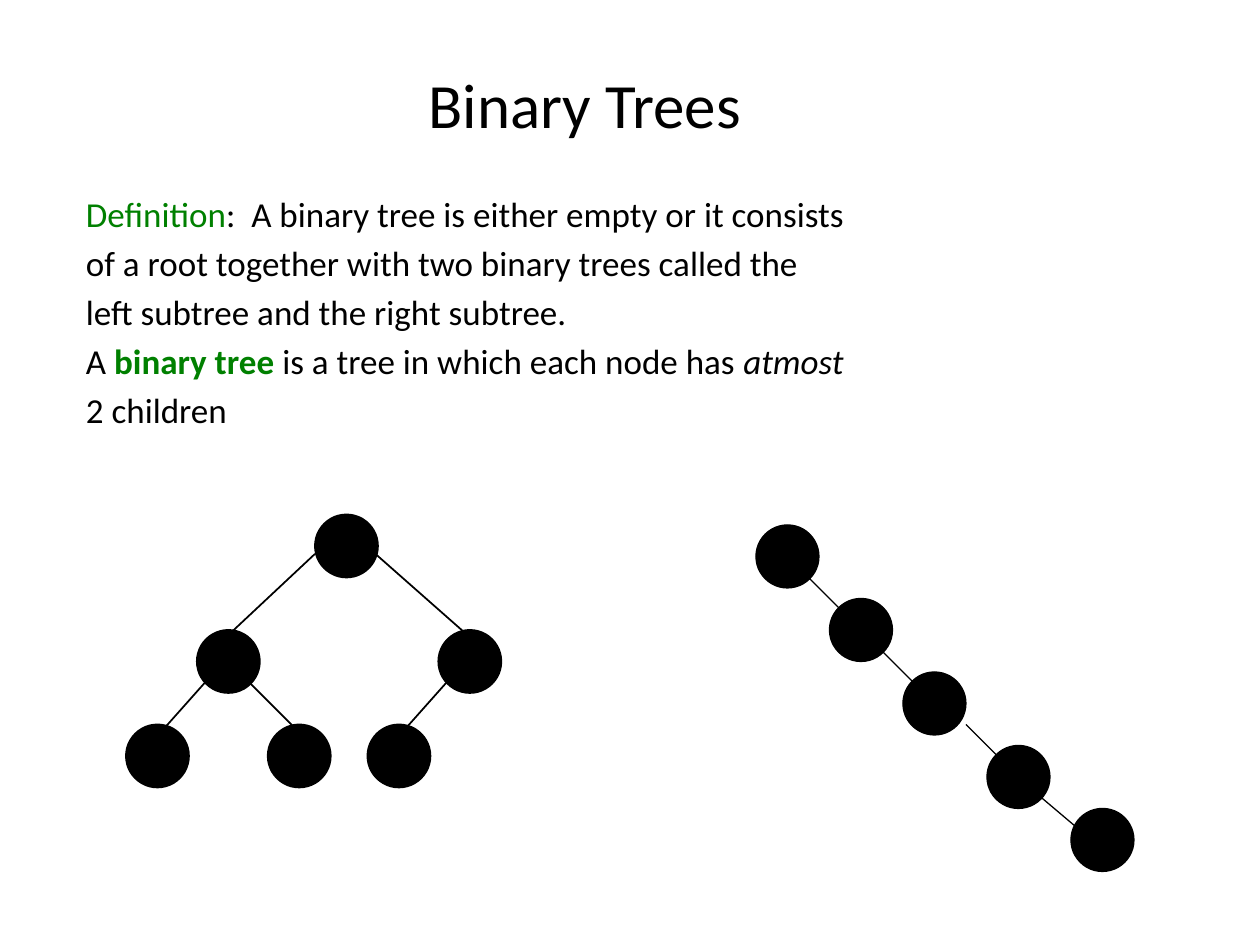
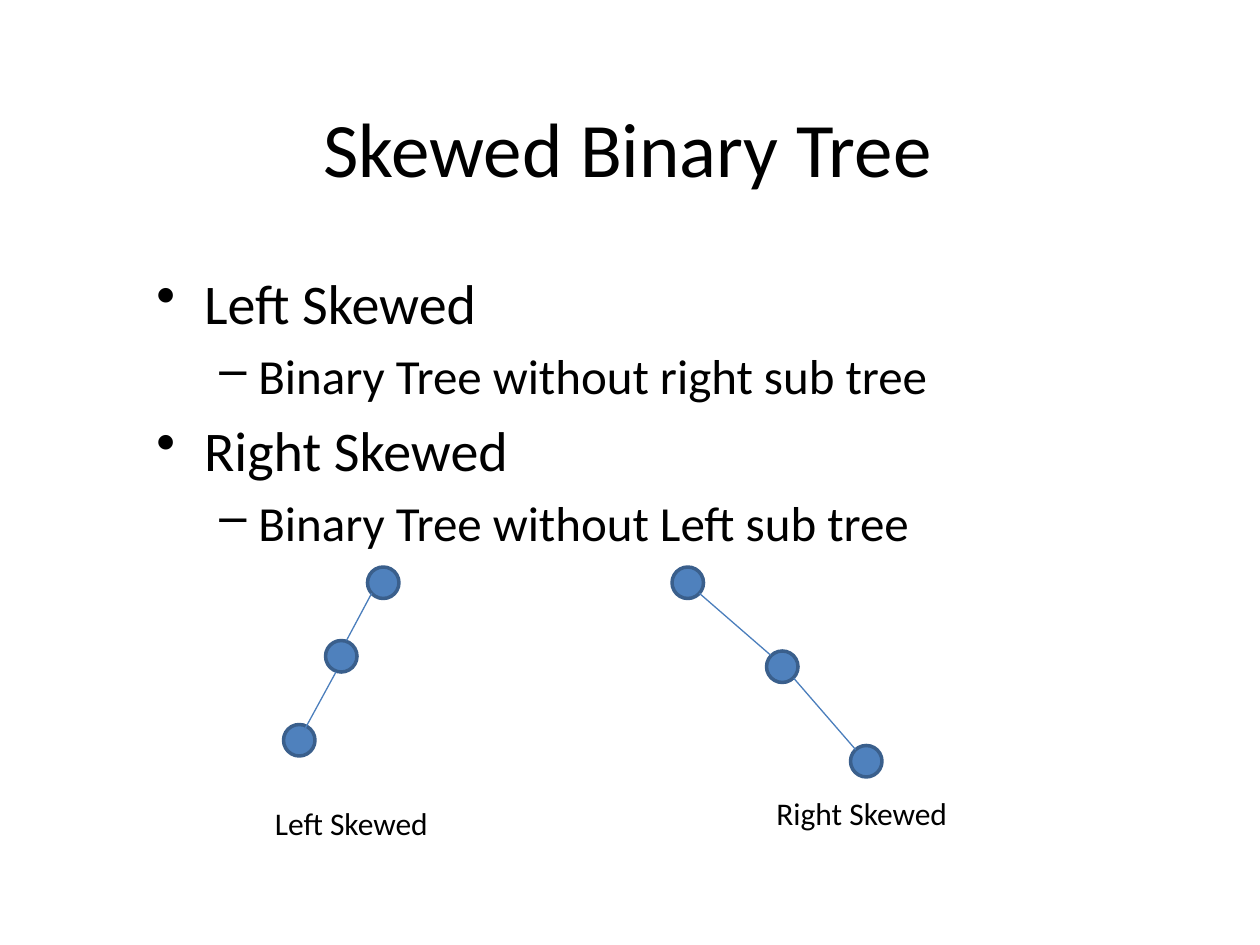
"""Build two slides that define binary trees and their skewed forms."""
from pptx import Presentation
from pptx.dml.color import RGBColor
from pptx.enum.shapes import MSO_CONNECTOR, MSO_SHAPE
from pptx.enum.text import MSO_ANCHOR, MSO_AUTO_SIZE, PP_ALIGN
from pptx.oxml.ns import qn
from pptx.util import Inches, Pt
from lxml.etree import SubElement

BLACK = RGBColor(0x00, 0x00, 0x00)
GREEN = RGBColor(0x00, 0x80, 0x00)
NODE_BLUE = RGBColor(0x4F, 0x81, 0xBD)
OUTLINE_BLUE = RGBColor(0x3A, 0x5F, 0x8C)
EDGE_BLUE = RGBColor(0x4B, 0x7E, 0xBC)
FONT = "Calibri"

presentation = Presentation()
presentation.slide_width = Inches(10)
presentation.slide_height = Inches(7.5)
CELL = presentation.slide_width / 120


def add_titled_slide(title_text, title_size, title_area, body_area):
    slide = presentation.slides.add_slide(presentation.slide_layouts[5])
    title = slide.shapes.title
    title.left, title.top, title.width, title.height = [round(n * CELL) for n in title_area]
    title.text_frame.text = title_text
    title.text_frame.vertical_anchor = MSO_ANCHOR.MIDDLE
    paragraph = title.text_frame.paragraphs[0]
    paragraph.alignment = PP_ALIGN.CENTER
    paragraph.font.name = FONT
    paragraph.font.size = Pt(title_size)
    paragraph.font.color.rgb = BLACK
    body = slide.shapes.add_textbox(*[round(n * CELL) for n in body_area])
    body.text_frame.word_wrap = True
    return slide, body.text_frame


def draw_tree(slide, nodes, edges, node_cells, fill, outline, outline_width, edge_color, edge_width):
    size = round(node_cells * CELL)
    for column, row in nodes:
        node = slide.shapes.add_shape(
            MSO_SHAPE.OVAL, round(column * CELL), round(row * CELL), size, size)
        node.shadow.inherit = False
        node.fill.solid()
        node.fill.fore_color.rgb = fill
        node.line.color.rgb = outline
        node.line.width = Pt(outline_width)
    for ends in edges:
        edge = slide.shapes.add_connector(
            MSO_CONNECTOR.STRAIGHT, *[round(n * CELL) for n in ends])
        edge.line.color.rgb = edge_color
        edge.line.width = Pt(edge_width)
        SubElement(edge._element.spPr, qn("a:effectLst"))


slide, body = add_titled_slide(
    "Binary Trees", 36, (4.7, 3.7, 102, 12.2), (7, 17.75, 101.75, 64.7))
definition = [
    [("Definition", "green"), (":  A binary tree is either empty or it consists", "")],
    [("of a root together with two binary trees called the", "")],
    [("left subtree and the right subtree.", "")],
    [("A ", ""), ("binary tree", "green bold"),
     (" is a tree in which each node has ", ""), ("atmost", "italic")],
    [("2 children", "")],
]
for index, pieces in enumerate(definition):
    paragraph = body.add_paragraph() if index else body.paragraphs[0]
    paragraph.space_before = Pt(4)
    paragraph.font.name = FONT
    paragraph.font.size = Pt(20)
    for text, style in pieces:
        run = paragraph.add_run()
        run.text = text
        run.font.color.rgb = GREEN if "green" in style else BLACK
        run.font.bold = "bold" in style
        run.font.italic = "italic" in style

branched_nodes = [(30, 49), (18.75, 60), (41.75, 60), (12, 69), (25.5, 69), (35, 69)]
branched_edges = [(22, 60.25, 30, 52.75), (44.25, 60.25, 35.75, 52.75),
                  (15.75, 69.25, 19.75, 64.75), (28, 69.25, 23.5, 64.75),
                  (38.75, 69.25, 42.75, 64.75)]
chain_nodes = [(72, 50), (79, 57), (86, 64), (94, 71), (102, 77)]
chain_edges = [(column, row, column + 3, row + 3)
               for column, row in [(77, 55), (84, 62), (92, 69)]]
chain_edges.append((97.75, 74.75, 104.25, 80.25))
for nodes, edges, width in [(branched_nodes, branched_edges, 1),
                            (chain_nodes, chain_edges, 0.75)]:
    draw_tree(slide, nodes, edges, 6, BLACK, BLACK, width, BLACK, width)

slide, body = add_titled_slide(
    "Skewed Binary Tree", 44, (13.7, 7, 92.2, 14), (13.7, 25, 88.9, 51.6))
outline_levels = [(32, "•", 0.38, -0.38), (28, "–", 0.81, -0.31)]
outline_items = [
    (0, "Left Skewed"),
    (1, "Binary Tree without right sub tree"),
    (0, "Right Skewed"),
    (1, "Binary Tree without Left sub tree"),
]
for index, (level, text) in enumerate(outline_items):
    size, bullet, margin, indent = outline_levels[level]
    paragraph = body.add_paragraph() if index else body.paragraphs[0]
    paragraph.text = text
    paragraph.level = level
    paragraph.space_before = Pt(size * 0.2)
    paragraph.font.name = FONT
    paragraph.font.size = Pt(size)
    paragraph.font.color.rgb = BLACK
    properties = paragraph._p.get_or_add_pPr()
    properties.set("marL", str(Inches(margin)))
    properties.set("indent", str(Inches(indent)))
    bullet_character = properties.makeelement(qn("a:buChar"), {"char": bullet})
    properties.find(qn("a:defRPr")).addprevious(bullet_character)

skewed_trees = [
    ("Left Skewed", (25, 76, 20.3, 4.8),
     [(35, 54), (31, 61), (27, 69)],
     [(35.4, 56.5, 33, 61), (32, 64, 29, 69.5)]),
    ("Right Skewed", (72.75, 75, 22.2, 4.8),
     [(64, 54), (73, 62), (81, 71)],
     [(66.6, 56.5, 73.4, 62.4), (75.6, 64.6, 81.5, 71.4)]),
]
for label, label_area, nodes, edges in skewed_trees:
    draw_tree(slide, nodes, edges, 3, NODE_BLUE, OUTLINE_BLUE, 2, EDGE_BLUE, 0.75)
    caption = slide.shapes.add_textbox(*[round(n * CELL) for n in label_area])
    caption.text_frame.word_wrap = False
    caption.text_frame.auto_size = MSO_AUTO_SIZE.SHAPE_TO_FIT_TEXT
    paragraph = caption.text_frame.paragraphs[0]
    paragraph.text = label
    paragraph.font.name = FONT
    paragraph.font.size = Pt(18)
    paragraph.font.color.rgb = BLACK

presentation.save("out.pptx")
